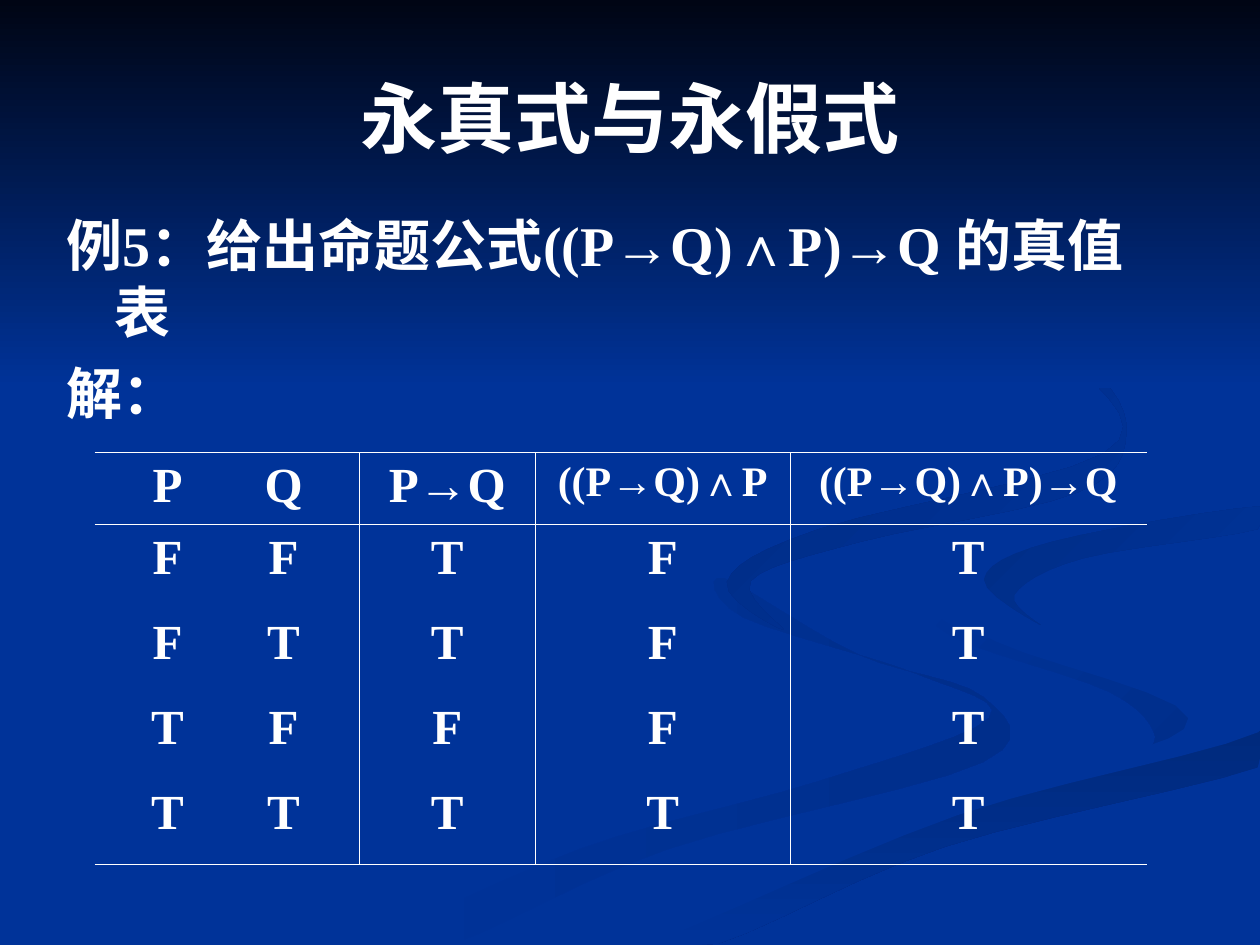
from lxml import etree
from pptx import Presentation
from pptx.dml.color import RGBColor
from pptx.enum.text import MSO_ANCHOR, PP_ALIGN
from pptx.oxml.ns import qn
from pptx.util import Inches, Pt

CENTER, LEFT, MIDDLE = PP_ALIGN.CENTER, PP_ALIGN.LEFT, MSO_ANCHOR.MIDDLE
CELL = Inches(0.1)  # the slide is a grid of 100 columns by 75 rows
COLUMNS, ROWS = 100, 75
FONT, WHITE, BLUE = "Times New Roman", "FFFFFF", "003399"
RULE_WIDTH = Pt(0.45)
CURVE_STEPS = 6

# Ribbons: start colour, end colour, angle, knots of a closed smooth curve in cells
RIBBONS = [
    (BLUE, "002E8B", 0, [
        (78, 55.3), (68, 51.9), (57.5, 45.9), (59, 49), (72.8, 53.5), (78.5, 57),
        (65, 62), (46, 67.4), (30, 74.9), (36, 74.9), (53, 67.4), (78, 60.5)]),
    (BLUE, "002E8B", 45, [
        (94.3, 57), (87, 53), (75.8, 49.8), (72.4, 46.4), (75.5, 50.5),
        (88, 54.9), (91.7, 58.5), (89.4, 60.5)]),
    ("002A7D", BLUE, 90, [
        (50.3, 74.9), (57, 74.9), (75, 67.2), (99.8, 60.9), (99.8, 58.1), (76, 64.7)]),
    (BLUE, BLUE, 0, [
        (72.5, 46.4), (79, 50.9), (94.3, 57), (81, 62.5), (47.7, 74.9), (52, 74.7),
        (76, 64.7), (99.9, 58.1), (99.9, 53.8), (78.2, 46), (99.9, 40.2),
        (99.9, 38.7), (77, 42.7)]),
    ("002D86", BLUE, 45, [
        (78.1, 46), (82.6, 49.6), (80.5, 47.2), (86, 44.3), (99.8, 42), (99.8, 40.2),
        (83.5, 43)]),
    ("002B82", BLUE, 45, [
        (68.3, 43), (85.5, 39.1), (89.4, 34.4), (86.4, 29.1), (76.2, 23.3),
        (86, 29.5), (87.6, 36), (65, 42), (57.7, 46.2), (62.2, 50), (59.6, 46.1)]),
]

HEADINGS = ["P\tQ", "P→Q", "((P→Q)∧P", "((P→Q)∧P)→Q"]
TRUTH_ROWS = [
    ["F\tF", "T", "F", "T"],
    ["F\tT", "T", "F", "T"],
    ["T\tF", "F", "F", "T"],
    ["T\tT", "T", "T", "T"],
]


def color(hex_code):
    return RGBColor.from_string(hex_code)


def grid(*cells):
    return [round(CELL * count) for count in cells]


def style(para, size, align=LEFT):
    para.alignment = align
    for span in para.runs:
        span.font.name, span.font.size, span.font.bold = FONT, Pt(size), True
        span.font.color.rgb = color(WHITE)


def add_text(page, box, lines, size, align=LEFT):
    frame = page.shapes.add_textbox(*grid(*box)).text_frame
    frame.word_wrap = True
    frame.text = "\n".join(lines)
    for para in frame.paragraphs:
        style(para, size, align)
    return frame


def blend(a, b, c, d, t):
    """Catmull-Rom position between b and c."""
    return b + t / 2 * (c - a + t * (2 * a - 5 * b + 4 * c - d
                                     + t * (3 * (b - c) + d - a)))


def smooth_outline(knots):
    outline = []
    for index in range(len(knots)):
        nearby = [knots[(index + offset) % len(knots)] for offset in (-1, 0, 1, 2)]
        for step in range(CURVE_STEPS):
            x, y = (blend(*values, step / CURVE_STEPS) for values in zip(*nearby))
            outline.append(grid(min(max(x, 0), COLUMNS), min(max(y, 0), ROWS)))
    return outline


def paint(shape, start, end, angle):
    shape.shadow.inherit = False
    shape.line.fill.background()
    shape.fill.gradient()
    shape.fill.gradient_angle = (360 - angle) % 360
    for stop, shade in zip(shape.fill.gradient_stops, (start, end)):
        stop.color.rgb = color(shade)


def add_outline(page, outline):
    builder = page.shapes.build_freeform(*outline[0])
    builder.add_line_segments(outline[1:], close=True)
    return builder.convert_to_shape()


def add_backdrop(page, sky_height):
    page.background.fill.solid()
    page.background.fill.fore_color.rgb = color(BLUE)
    for start, end, angle, knots in RIBBONS:
        paint(add_outline(page, smooth_outline(knots)), start, end, angle)
    # Dark band fading down from the top edge
    corners = [(0, 0), (0, sky_height), (COLUMNS, sky_height), (COLUMNS, 0)]
    sky = add_outline(page, [grid(*corner) for corner in corners])
    paint(sky, "000514", BLUE, 90)


def add_title(page, box):
    frame = add_text(page, box, ["永真式与永假式"], 44, CENTER)
    frame.vertical_anchor = MIDDLE


def add_question(page, box):
    lines = ["例5：给出命题公式((P→Q)∧P)→Q 的真值表", "解："]
    frame = add_text(page, box, lines, 32)
    hang = Inches(0.38)
    for para in frame.paragraphs:
        properties = para._p.get_or_add_pPr()
        properties.set("marL", str(hang))
        properties.set("indent", str(-hang))
    frame.paragraphs[1].space_before = Pt(8)


def set_borders(cell, ruled_sides):
    properties = cell._tc.get_or_add_tcPr()
    for place, side in enumerate("LRTB"):
        line = etree.Element(qn("a:ln" + side), w=str(RULE_WIDTH))
        if side in ruled_sides:
            fill = etree.SubElement(line, qn("a:solidFill"))
            etree.SubElement(fill, qn("a:srgbClr"), val=WHITE)
        else:
            etree.SubElement(line, qn("a:noFill"))
        properties.insert(place, line)


def add_pair_tabs(para):
    # Centre the two variables of the first column on their own stops
    stops = etree.SubElement(para._p.get_or_add_pPr(), qn("a:tabLst"))
    for position in (0.48, 1.4):
        etree.SubElement(stops, qn("a:tab"), pos=str(Inches(position)), algn="ctr")


def add_truth_table(page, box, widths, heights):
    rows = [HEADINGS] + TRUTH_ROWS
    last_row, last_column = len(rows) - 1, len(widths) - 1
    table = page.shapes.add_table(len(rows), len(widths), *grid(*box)).table
    table.first_row = table.horz_banding = False
    for column, width in zip(table.columns, grid(*widths)):
        column.width = width
    for row, height in zip(table.rows, grid(*heights)):
        row.height = height
    for r, texts in enumerate(rows):
        for c, text in enumerate(texts):
            cell = table.cell(r, c)
            cell.fill.background()
            sides = ("L" if c > 0 else "") + ("R" if c < last_column else "")
            sides += ("T" if r < 2 else "") + ("B" if r in (0, last_row) else "")
            set_borders(cell, sides)
            para = cell.text_frame.paragraphs[0]
            if c == 0:
                add_pair_tabs(para)
                text = "\t" + text
            para.text = text
            size = 24 if r == 0 and c > 1 else 28
            style(para, size, LEFT if c == 0 else CENTER)


def main():
    deck = Presentation()
    deck.slide_width, deck.slide_height = grid(COLUMNS, ROWS)
    page = deck.slides.add_slide(deck.slide_layouts[6])
    add_backdrop(page, 30.8)
    add_title(page, (5, 3, 90, 12.5))
    add_question(page, (4.3, 16.2, 89.8, 18.1))
    add_truth_table(page, (7.5, 35.9, 83.5, 32.7),
                    (21, 14, 20.2, 28.3), (5.7, 6.8, 6.7, 6.8, 6.7))
    deck.save("out.pptx")


if __name__ == "__main__":
    main()
